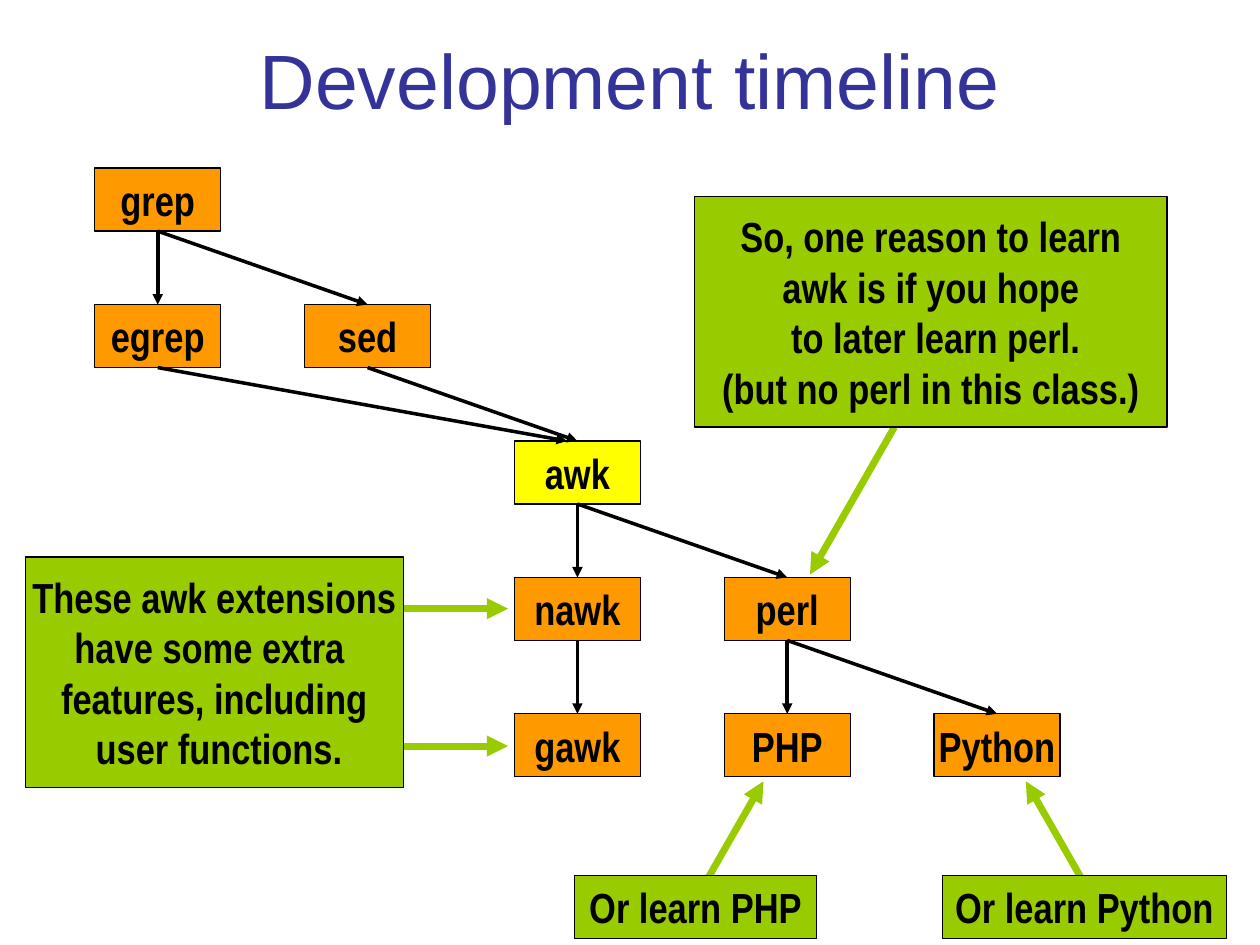
import pptx
import pptx.dml.color
import pptx.enum.shapes
import pptx.enum.text
import pptx.oxml.ns
import pptx.util
from lxml import etree

Cm = pptx.util.Cm
Pt = pptx.util.Pt
RGBColor = pptx.dml.color.RGBColor

BLACK = RGBColor(0x00, 0x00, 0x00)
BLUE = RGBColor(0x33, 0x33, 0x99)
ORANGE = RGBColor(0xFF, 0x99, 0x00)
YELLOW = RGBColor(0xFF, 0xFF, 0x00)
GREEN = RGBColor(0x99, 0xCC, 0x00)

BOTTOM, TOP = 2, 0
LEFT, COL_STEP = 1.91, 4.23
FIRST_ROW, ROW_STEP = 3.39, 2.75
BOX_W, BOX_H = 2.54, 1.27

# tool: (column, row) on the grid
TOOLS = {
    "grep": (0, 0),
    "egrep": (0, 1),
    "sed": (1, 1),
    "awk": (2, 2),
    "nawk": (2, 3),
    "perl": (3, 3),
    "gawk": (2, 4),
    "PHP": (3, 4),
    "Python": (4, 4),
}
DESCENT = [
    ("grep", "egrep"), ("grep", "sed"), ("sed", "awk"), ("awk", "nawk"),
    ("awk", "perl"), ("nawk", "gawk"), ("perl", "PHP"), ("perl", "Python"),
]
# box (left, top, width, height), lines of text, arrows (x1, y1, x2, y2)
NOTES = [
    ((14, 3.96, 9.53, 4.65),
     ["So, one reason to learn", "awk is if you hope",
      " to later learn perl.", "(but no perl in this class.)"],
     [(18.03, 8.61, 16.33, 11.58)]),
    ((0.51, 11.23, 7.62, 4.65),
     ["These awk extensions", "have some extra ",
      "features, including", " user functions."],
     [(8.13, 15.04, 10.24, 15.04), (7.92, 12.27, 10.24, 12.27)]),
    ((19, 17.65, 5.72, 1.27), ["Or learn Python"],
     [(22.38, 18.72, 20.68, 15.75)]),
    ((11.58, 17.65, 4.88, 1.27), ["Or learn PHP"],
     [(13.69, 18.72, 15.39, 15.75)]),
]


def write(tf, lines, *, size, font, color, bold=False, wrap=True):
    """Fill a text frame with centred paragraphs, one per line."""
    tf.word_wrap = wrap
    tf.vertical_anchor = pptx.enum.text.MSO_ANCHOR.MIDDLE
    for i, line in enumerate(lines):
        p = tf.add_paragraph() if i else tf.paragraphs[0]
        p.alignment = pptx.enum.text.PP_ALIGN.CENTER
        r = p.add_run()
        r.text = line
        r.font.size = Pt(size)
        r.font.name = font
        r.font.bold = bold
        r.font.color.rgb = color


class Diagram:
    """Holds the slide and the style of its boxes and arrows."""

    title_font = "Arial"
    box_font = "Arial Narrow"

    def __init__(self, slide):
        self.s = slide

    def title(self, text):
        sp = self.s.shapes.title
        sp.left, sp.top, sp.width, sp.height = Cm(1.27), Cm(0), Cm(22.86), Cm(3.18)
        write(sp.text_frame, [text], size=44, font=self.title_font, color=BLUE)

    def box(self, lines, place, fill):
        sp = self.s.shapes.add_shape(
            pptx.enum.shapes.MSO_SHAPE.RECTANGLE, *map(Cm, place))
        sp.shadow.inherit = False
        sp.fill.solid()
        sp.fill.fore_color.rgb = fill
        sp.line.color.rgb = BLACK
        sp.line.width = Pt(0.75)
        write(sp.text_frame, lines, size=24, font=self.box_font,
              color=BLACK, bold=True, wrap=False)
        return sp

    def arrow(self, ends, color, width):
        sp = self.s.shapes.add_connector(
            pptx.enum.shapes.MSO_CONNECTOR.STRAIGHT, *map(Cm, ends))
        sp.line.color.rgb = color
        sp.line.width = Pt(width)
        qn = pptx.oxml.ns.qn
        etree.SubElement(sp.line._get_or_add_ln(), qn("a:tailEnd"), type="triangle")
        etree.SubElement(sp._element.spPr, qn("a:effectLst"))
        return sp

    def descent(self, parent, child):
        sp = self.arrow((0, 0, 0, 0), BLACK, 2)
        sp.begin_connect(parent, BOTTOM)
        sp.end_connect(child, TOP)


def main():
    prs = pptx.Presentation()
    prs.slide_width, prs.slide_height = Cm(25.4), Cm(19.05)
    d = Diagram(prs.slides.add_slide(prs.slide_layouts[5]))
    d.title("Development timeline")

    boxes = {}
    for name, (col, row) in TOOLS.items():
        place = (LEFT + col * COL_STEP, FIRST_ROW + row * ROW_STEP, BOX_W, BOX_H)
        boxes[name] = d.box([name], place, YELLOW if name == "awk" else ORANGE)
    for parent, child in DESCENT:
        d.descent(boxes[parent], boxes[child])
    # egrep meets awk a little left of the arrow from sed
    sp = d.arrow((3.18, 7.41, 11.43, 8.89), BLACK, 2)
    sp.begin_connect(boxes["egrep"], BOTTOM)

    for place, lines, arrows in NOTES:
        for ends in arrows:
            d.arrow(ends, GREEN, 4)
        d.box(lines, place, GREEN)

    prs.save("out.pptx")


if __name__ == "__main__":
    main()
